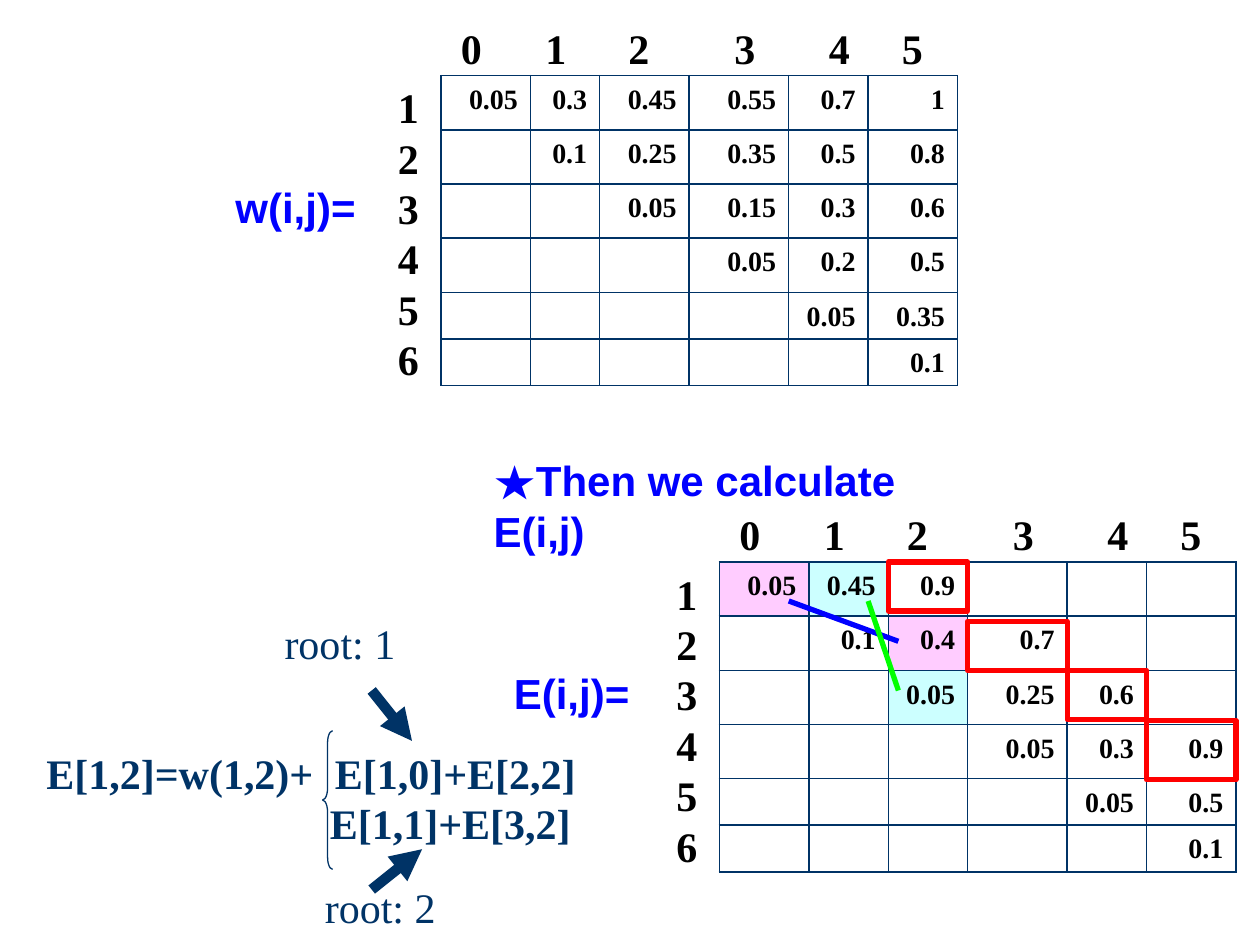
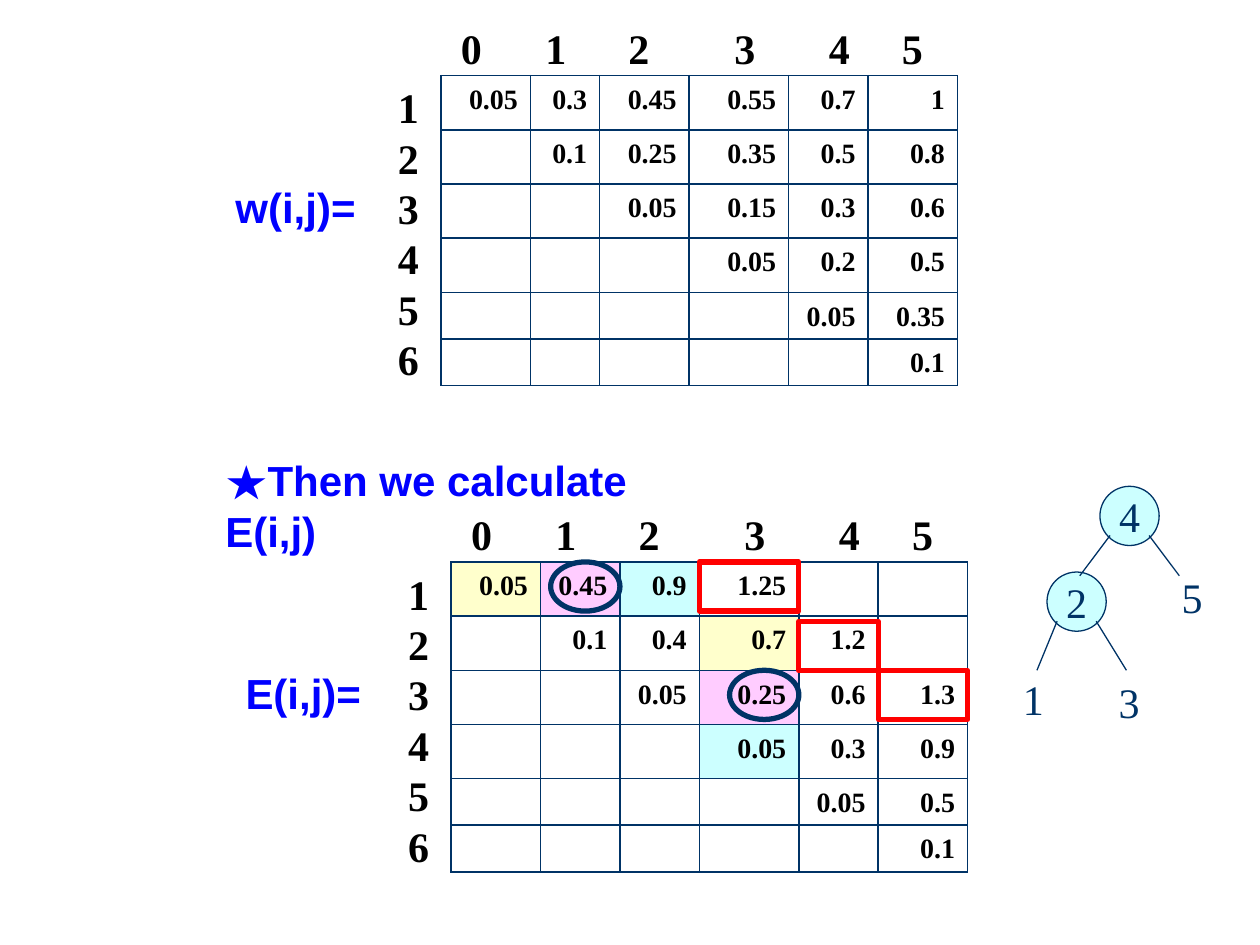
from dataclasses import dataclass, field

from lxml import etree
from pptx import Presentation
from pptx.dml.color import RGBColor
from pptx.enum.shapes import MSO_CONNECTOR, MSO_SHAPE
from pptx.enum.text import MSO_ANCHOR, PP_ALIGN
from pptx.oxml.ns import qn
from pptx.util import Inches, Pt

LINE = MSO_CONNECTOR.STRAIGHT
RECT, OVAL, BRACE = MSO_SHAPE.RECTANGLE, MSO_SHAPE.OVAL, MSO_SHAPE.LEFT_BRACE
MIDDLE, CENTER, RIGHT = MSO_ANCHOR.MIDDLE, PP_ALIGN.CENTER, PP_ALIGN.RIGHT

HUES = {"blue": "0000FF", "navy": "003366", "black": "000000", "red": "FF0000",
        "green": "00FF00", "white": "FFFFFF", "pink": "FFCCFF",
        "cyan": "CCFFFF", "cream": "FFFFCC"}
SERIF, SANS = "Times New Roman", "Arial"
HEIGHTS = [0.43] * 4 + [0.37] * 2
HEADS = "\t".join("012345")
STOPS = [0.67, 1.33, 2.17, 2.92, 3.5]
E_TOP = 4.46
MARKS = [(E_TOP, 0.39), (4.93, 0.39), (5.32, 0.39), (5.72, 0.47)]
W_ROWS = ["0.05 0.3 0.45 0.55 0.7 1", "0.1 0.25 0.35 0.5 0.8", "0.05 0.15 0.3 0.6",
          "0.05 0.2 0.5", "0.05 0.35", "0.1"]
E_COLS = [0.71, 0.63, 0.63, 0.79, 0.63, 0.71]


@dataclass
class Font:
    name: str = SERIF
    hue: str = "black"
    bold: bool = True
    size: int = 24


@dataclass
class Matrix:
    """Upper triangular matrix; row r starts in column r."""
    name: str
    left: float
    top: float
    cols: list[float]
    rows: list[str]
    fills: dict[tuple[int, int], str] = field(default_factory=dict)

    def edge(self, col: int) -> float:
        return self.left + sum(self.cols[:col])


@dataclass
class Node:
    text: str
    left: float
    top: float


@dataclass
class Link:
    start: tuple[float, float]
    end: tuple[float, float]
    hue: str = "navy"
    width: float = 0.75
    arrow: bool = False


LABEL = Font(SANS, "blue")
INDEX = Font()
CELL = Font(size=16)
FORMULA = Font(hue="navy")
PLAIN = Font(hue="navy", bold=False)

W = Matrix("w(i,j)=", 3.5, 0.6, [0.71, 0.55, 0.71, 0.79, 0.63, 0.71], W_ROWS)
E_FIRST = Matrix(
    "E(i,j)=", 5.71, E_TOP, E_COLS,
    ["0.05 0.45 0.9", "0.1 0.4 0.7", "0.05 0.25 0.6", "0.05 0.3 0.9", "0.05 0.5", "0.1"],
    {(0, 0): "pink", (1, 2): "pink", (0, 1): "cyan", (2, 2): "cyan"})
E_NEXT = Matrix(
    "E(i,j)=", 3.58, E_TOP, E_COLS,
    ["0.05 0.45 0.9 1.25", "0.1 0.4 0.7 1.2", "0.05 0.25 0.6 1.3", "0.05 0.3 0.9",
     "0.05 0.5", "0.1"],
    {(0, 0): "cream", (1, 3): "cream", (0, 1): "pink", (2, 3): "pink",
     (0, 2): "cyan", (3, 3): "cyan"})

SUMS = [Link((6.26, 4.77), (7.13, 5.09), "blue", 3),
        Link((6.89, 4.77), (7.13, 5.48), "green", 3)]
ROOTS = [Node("root: 1", 2.16, 4.85), Node("root: 2", 2.48, 6.95)]
ARROWS = [Link((2.95, 5.48), (3.27, 5.88), width=6, arrow=True),
          Link((2.95, 7.06), (3.35, 6.74), width=6, arrow=True)]
INNER = [Node("4", 8.73, 3.86), Node("2", 8.31, 4.54)]
LEAVES = [Node("5", 9.28, 4.49), Node("3", 8.78, 5.32), Node("1", 8.02, 5.3)]
EDGES = [Link((9.12, 4.25), (9.36, 4.57)), Link((8.81, 4.25), (8.57, 4.57)),
         Link((8.7, 4.93), (8.94, 5.32)), Link((8.39, 4.93), (8.23, 5.32))]


def rgb(hue: str) -> RGBColor:
    return RGBColor.from_string(HUES[hue])


def style(run, font: Font) -> None:
    run.font.name, run.font.size, run.font.bold = font.name, Pt(font.size), font.bold
    run.font.color.rgb = rgb(font.hue)


def write(frame, text: str, font: Font) -> None:
    frame.text = text
    for para in frame.paragraphs:
        para.line_spacing = Pt(font.size * 1.2)
        for run in para.runs:
            style(run, font)


def label(slide, text: str, left: float, top: float, width: float, font: Font,
          height: float = 0.5, inset: float = 0):
    box = slide.shapes.add_textbox(Inches(left), Inches(top), Inches(width), Inches(height))
    frame = box.text_frame
    frame.word_wrap = True
    frame.margin_right = Inches(inset)
    write(frame, text, font)
    return frame


def set_tabs(para, stops: list[float]) -> None:
    props = para._p.get_or_add_pPr()
    tabs = etree.SubElement(props, qn("a:tabLst"))
    for stop in stops:
        etree.SubElement(tabs, qn("a:tab"), pos=str(Inches(stop)), algn="l")


def add_borders(cell) -> None:
    props = cell._tc.get_or_add_tcPr()
    for side in "LRTB":
        line = etree.SubElement(props, qn(f"a:ln{side}"), w=str(Pt(1)))
        fill = etree.SubElement(line, qn("a:solidFill"))
        etree.SubElement(fill, qn("a:srgbClr"), val=HUES["navy"])


def draw_matrix(slide, mat: Matrix) -> None:
    """Draw the table with its name, row numbers and column numbers."""
    label(slide, mat.name, mat.left - 1.73, mat.top + 0.79, 1.15, LABEL)
    count = len(mat.rows)
    frame = slide.shapes.add_table(count, len(mat.cols), Inches(mat.left), Inches(mat.top),
                                   Inches(sum(mat.cols)), Inches(sum(HEIGHTS)))
    table = frame.table
    table.first_row = table.horz_banding = False
    for col, width in zip(table.columns, mat.cols):
        col.width = Inches(width)
    for r, (line, height) in enumerate(zip(mat.rows, HEIGHTS)):
        table.rows[r].height = Inches(height)
        vals = dict(enumerate(line.split(), r))
        for c, cell in enumerate(table.rows[r].cells):
            add_borders(cell)
            cell.fill.solid()
            cell.fill.fore_color.rgb = rgb(mat.fills.get((r, c), "white"))
            write(cell.text_frame, vals.get(c, ""), CELL)
            para = cell.text_frame.paragraphs[0]
            para.alignment = RIGHT
            if c not in vals:
                etree.SubElement(para._p, qn("a:endParaRPr"), sz=str(CELL.size * 100))
    nums = "\n".join(str(n + 1) for n in range(count))
    label(slide, nums, mat.left - 0.44, mat.top, 0.37, INDEX, 2.5)
    heads = label(slide, HEADS, mat.left + 0.06, mat.top - 0.47, 3.87, INDEX)
    set_tabs(heads.paragraphs[0], STOPS)


def draw_shape(slide, kind, left: float, top: float, width: float, height: float,
               hue: str, weight: float, fill: str = ""):
    shape = slide.shapes.add_shape(kind, Inches(left), Inches(top),
                                   Inches(width), Inches(height))
    shape.shadow.inherit = False
    shape.line.color.rgb = rgb(hue)
    shape.line.width = Pt(weight)
    if fill:
        shape.fill.solid()
        shape.fill.fore_color.rgb = rgb(fill)
    else:
        shape.fill.background()
    return shape


def draw_link(slide, link: Link) -> None:
    ends = [Inches(v) for v in link.start + link.end]
    line = slide.shapes.add_connector(LINE, *ends)
    line.line.color.rgb = rgb(link.hue)
    line.line.width = Pt(link.width)
    if link.arrow:
        etree.SubElement(line.line._get_or_add_ln(), qn("a:tailEnd"), type="triangle")
    etree.SubElement(line._element.spPr, qn("a:effectLst"))


def draw_marks(slide, mat: Matrix, first: int) -> None:
    """Frame the new diagonal of cells, from column first to the last."""
    for col, (top, height) in zip(range(first, len(mat.cols)), MARKS):
        draw_shape(slide, RECT, mat.edge(col), top, mat.cols[col], height, "red", 3)


def draw_node(slide, node: Node) -> None:
    disc = draw_shape(slide, OVAL, node.left, node.top, 0.47, 0.47, "navy", 0.75, "cyan")
    frame = disc.text_frame
    frame.word_wrap = False
    frame.vertical_anchor = MIDDLE
    write(frame, node.text, PLAIN)
    frame.paragraphs[0].alignment = CENTER


def add_page(deck, mat: Matrix, first: int):
    """Add a slide with w, the given E and its framed diagonal."""
    slide = deck.slides.add_slide(deck.slide_layouts[6])
    star = label(slide, "★", mat.left - 1.89, 3.56, 4.2, Font(hue="blue"), inset=0.3)
    run = star.paragraphs[0].add_run()
    run.text = "Then we calculate E(i,j)"
    style(run, LABEL)
    for item in (mat, W):
        draw_matrix(slide, item)
    draw_marks(slide, mat, first)
    return slide


def draw_formula(slide) -> None:
    text = "E[1,2]=w(1,2)+\tE[1,0]+E[2,2]\nE[1,1]+E[3,2]"
    first, second = label(slide, text, 0.27, 5.88, 4.4, FORMULA, 1.3).paragraphs
    set_tabs(first, [2.29])
    second._p.get_or_add_pPr().set("marL", str(Inches(2.25)))
    brace = draw_shape(slide, BRACE, 2.56, 5.8, 0.08, 1.1, "navy", 0.75)
    brace.adjustments[0] = 1.18
    for root in ROOTS:
        label(slide, root.text, root.left, root.top, 1.08, PLAIN)
    for arrow in ARROWS:
        draw_link(slide, arrow)


def draw_tree(slide) -> None:
    for node in INNER:
        draw_node(slide, node)
    for leaf in LEAVES:
        label(slide, leaf.text, leaf.left, leaf.top, 0.37, PLAIN)
    for edge in EDGES:
        draw_link(slide, edge)


def main() -> None:
    deck = Presentation()
    deck.slide_width, deck.slide_height = Inches(10), Inches(7.5)

    slide = add_page(deck, E_FIRST, 2)
    for link in SUMS:
        draw_link(slide, link)
    draw_formula(slide)

    slide = add_page(deck, E_NEXT, 3)
    draw_tree(slide)
    for row, col in ((0, 1), (2, 3)):
        top, height = MARKS[row]
        draw_shape(slide, OVAL, E_NEXT.edge(col + 1) - 0.55, top, 0.55, height, "navy", 3)

    deck.save("out.pptx")


if __name__ == "__main__":
    main()
